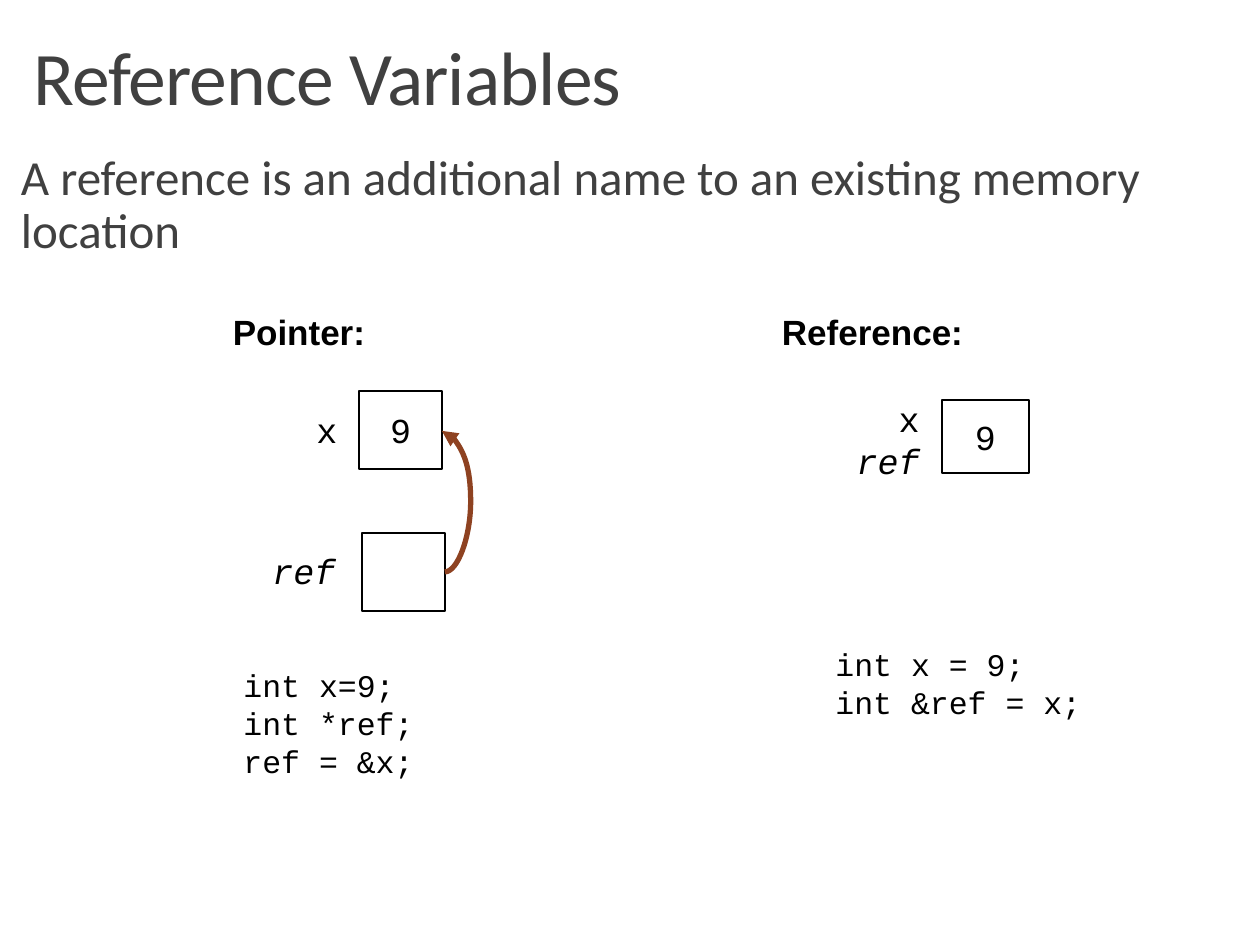
from lxml import etree
from pptx import Presentation, util as u
from pptx.dml.color import RGBColor
from pptx.enum import shapes, text
from pptx.oxml.ns import qn

PX = u.Inches(1) / 126
BLACK, WHITE, GREY, RUST = "000000", "FFFFFF", "404040", "8E4221"
MONO = "Courier New"
LEFT, CENTER, RIGHT = text.PP_ALIGN.LEFT, text.PP_ALIGN.CENTER, text.PP_ALIGN.RIGHT

TITLE = ("Reference Variables", (21, 39, 1218, 87))
STATEMENT = ("A reference is an additional name to an existing memory location",
             (21, 147, 1218, 777))
HEADINGS = [("Pointer:", (220, 304, 158, 54)), ("Reference:", (769, 304, 207, 54))]
# Memory cells: value, box
CELLS = [("9", (359, 391, 83, 78)), ("", (362, 533, 83, 78)), ("9", (942, 400, 87, 73))]
# Names beside the cells: lines, box, alignment
NAMES = [(["x"], (301, 402, 52, 54), CENTER),
         (["ref"], (256, 543, 96, 54), CENTER),
         (["x", "ref"], (840, 391, 92, 97), RIGHT)]
CODE = [(["int x=9;", "int *ref;", "ref = &x;"], (231, 660, 197, 127)),
        (["int x = 9;", "int &ref = x;"], (823, 639, 272, 89))]
POINTER_START, POINTER_END, POINTER_BULGE = (445, 572), (442, 431), 471


def px(*lengths):
    """Turn picture pixels into EMU."""
    return [u.Emu(round(n * PX)) for n in lengths]


def color(value):
    """Turn a hex string into a colour."""
    return RGBColor.from_string(value)


def write(frame, lines, size, font=MONO, ink=BLACK, align=LEFT, bold=False, wrap=False):
    """Fill a text frame, one paragraph a line; the name ref is italic."""
    frame.word_wrap = wrap
    for i, line in enumerate(lines):
        paragraph = frame.paragraphs[0] if i == 0 else frame.add_paragraph()
        paragraph.text = line
        paragraph.alignment = align
        style = paragraph.font
        style.name, style.size, style.bold = font, u.Pt(size), bold
        style.italic = line == "ref"
        style.color.rgb = color(ink)
    return frame


def add_text(slide, lines, box, size, **style):
    """Add a text box and return its frame."""
    return write(slide.shapes.add_textbox(*px(*box)).text_frame, lines, size, **style)


def add_cell(slide, value, box):
    """Add a memory cell holding a value."""
    cell = slide.shapes.add_shape(shapes.MSO_SHAPE.RECTANGLE, *px(*box))
    cell.shadow.inherit = False
    cell.fill.solid()
    cell.fill.fore_color.rgb = color(WHITE)
    cell.line.color.rgb = color(BLACK)
    cell.line.width = u.Pt(1)
    cell.text_frame.vertical_anchor = text.MSO_ANCHOR.MIDDLE
    if value:
        write(cell.text_frame, [value], 20, align=CENTER)


def add_pointer(slide, start, end, bulge):
    """Add a curved arrow that swings out to the x position bulge."""
    arrow = slide.shapes.add_connector(shapes.MSO_CONNECTOR.CURVE, *px(*start, *end))
    arrow.line.color.rgb = color(RUST)
    arrow.line.width = u.Pt(3)
    etree.SubElement(arrow.line._get_or_add_ln(), qn("a:tailEnd"), type="triangle")
    properties = arrow._element.spPr
    etree.SubElement(properties, qn("a:effectLst"))
    adjust = round(100000 * (start[0] - bulge) / (start[0] - end[0]))
    guides = properties.find(qn("a:prstGeom")).get_or_add_avLst()
    etree.SubElement(guides, qn("a:gd"), name="adj1", fmla=f"val {adjust}")


def build():
    """Build the slide and save it."""
    deck = Presentation()
    deck.slide_width, deck.slide_height = px(1260, 945)
    slide = deck.slides.add_slide(deck.slide_layouts[6])

    line, box = TITLE
    title = add_text(slide, [line], box, 43.2, font="Calibri", ink=GREY, wrap=True)
    title.vertical_anchor = text.MSO_ANCHOR.MIDDLE
    title.paragraphs[0].line_spacing = 0.85
    title.paragraphs[0].runs[0].font._element.set("spc", "-50")

    line, box = STATEMENT
    statement = add_text(slide, [line], box, 28, font="Calibri", ink=GREY, wrap=True)
    statement.margin_left = statement.margin_right = 0
    paragraph = statement.paragraphs[0]
    paragraph.line_spacing = 0.9
    paragraph.space_before, paragraph.space_after = u.Pt(12), u.Pt(2)

    for heading, box in HEADINGS:
        add_text(slide, [heading], box, 20, font="Arial", align=CENTER, bold=True)
    for value, box in CELLS:
        add_cell(slide, value, box)
    for names, box, align in NAMES:
        add_text(slide, names, box, 20, align=align, wrap=True)
    add_pointer(slide, POINTER_START, POINTER_END, POINTER_BULGE)
    for lines, box in CODE:
        add_text(slide, lines, box, 18)

    deck.save("out.pptx")


build()
